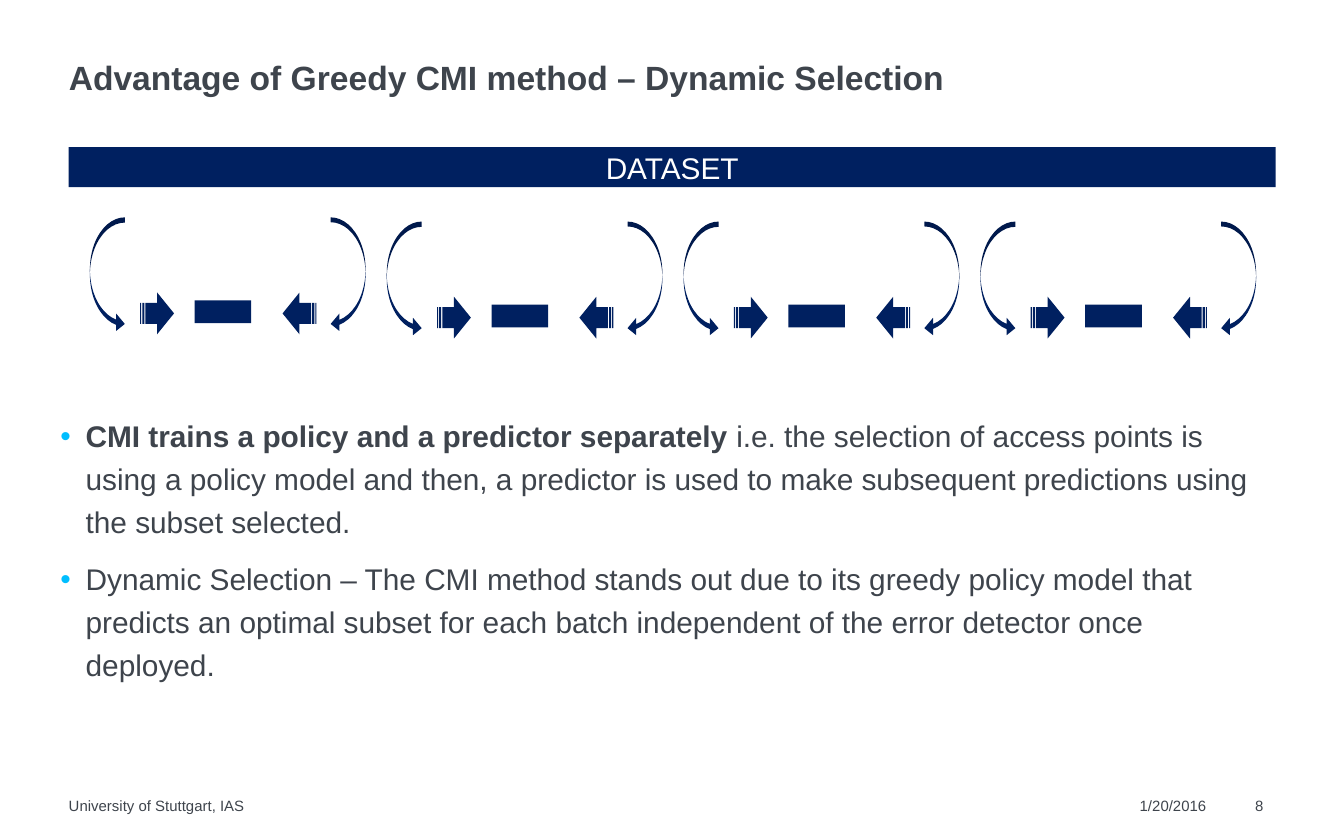
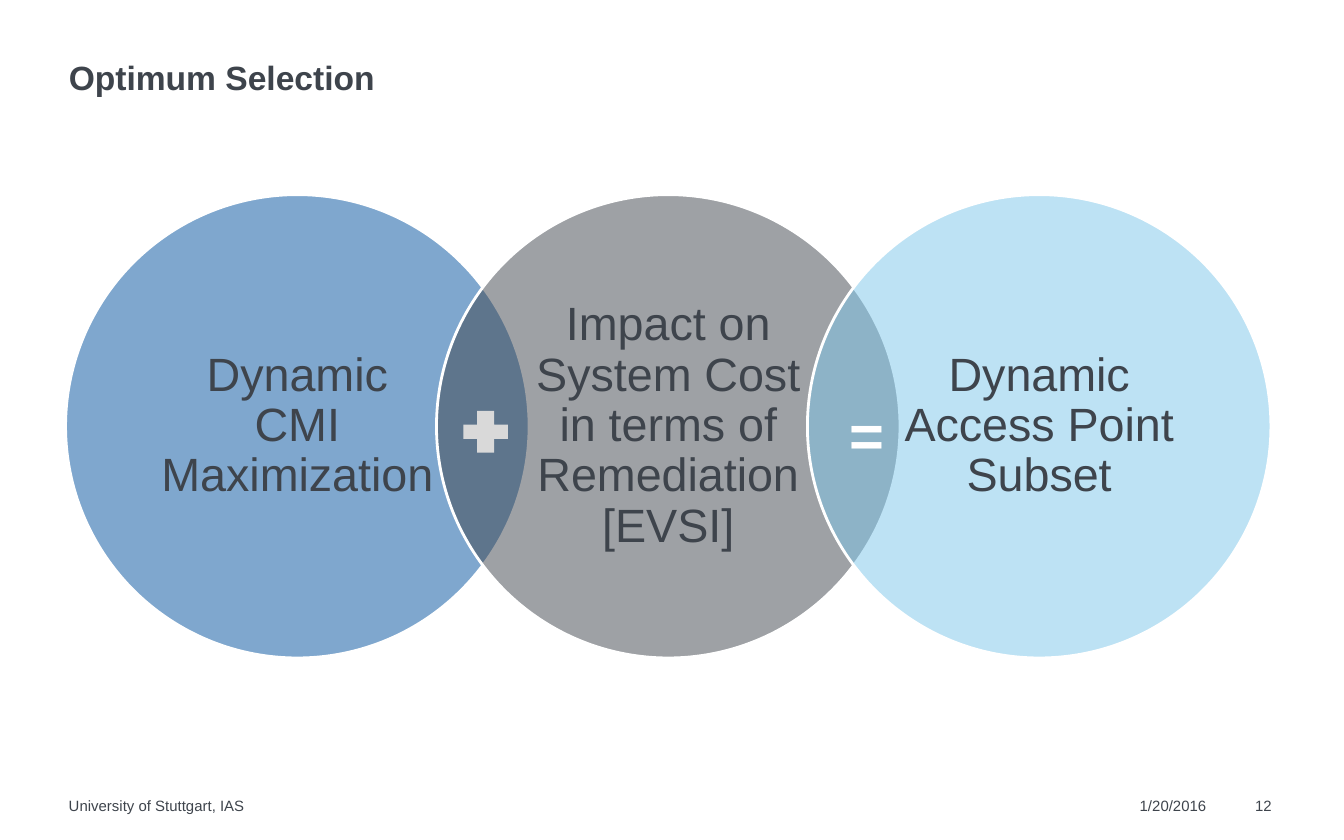
from dataclasses import dataclass

import pptx
import pptx.dml.color
import pptx.enum.shapes
import pptx.enum.text
import pptx.oxml
import pptx.oxml.ns
import pptx.oxml.xmlchemy
import pptx.util
from pptx.dml.color import RGBColor
from pptx.enum.shapes import MSO_SHAPE
from pptx.enum.text import MSO_ANCHOR, PP_ALIGN
from pptx.util import Cm

# Shared style
FONT = "Arial"
INK = RGBColor(0x3E, 0x44, 0x4C)
NAVY = RGBColor(0x00, 0x20, 0x60)
BLUE = RGBColor(0x00, 0x51, 0x9E)
SKY = RGBColor(0x7D, 0xC6, 0xEA)
BULLET = RGBColor(0x00, 0xBE, 0xFF)
SILVER = RGBColor(0xD9, 0xD9, 0xD9)
WHITE = RGBColor(0xFF, 0xFF, 0xFF)
MARGIN = 1.3
CONTENT_WIDTH = 22.81
TITLE_ONLY = 5


@dataclass(frozen=True)
class Box:
    """A frame in centimetres."""
    left: float
    top: float
    width: float
    height: float

    def moved(self, right: float, down: float) -> "Box":
        return Box(self.left + right, self.top + down, self.width, self.height)

    def lengths(self) -> tuple:
        return Cm(self.left), Cm(self.top), Cm(self.width), Cm(self.height)


@dataclass(frozen=True)
class Part:
    """One shape of a batch, placed relative to the batch's corner."""
    kind: MSO_SHAPE
    box: Box
    rotation: float = 0
    adjustments: tuple = ()


@dataclass(frozen=True)
class Circle:
    text: str
    color: RGBColor


TITLE_BOX = Box(MARGIN, 1.09, CONTENT_WIDTH, 0.76)
FOOTER_TEXT = "University of Stuttgart, IAS"
FOOTER_DATE = "1/20/2016"
FOOTER_BOX = Box(MARGIN, 15.06, 16.84, 0.36)
DATE_BOX = Box(21.54, 15.06, 1.47, 0.36)
NUMBER_BOX = Box(23.72, 15.06, 0.61, 0.36)


# Text helpers
def set_font(para, size: float, color: RGBColor = INK, bold: bool = False) -> None:
    font = para.font
    font.name, font.size, font.bold = FONT, pptx.util.Pt(size), bold
    font.color.rgb = color


def set_frame(frame, side: float = 0, end: float = 0, wrap: bool = True,
              anchor: MSO_ANCHOR = MSO_ANCHOR.TOP) -> None:
    frame.margin_left = frame.margin_right = Cm(side)
    frame.margin_top = frame.margin_bottom = Cm(end)
    frame.word_wrap = wrap
    frame.vertical_anchor = anchor


def add_text(page, box: Box, text: str, size: float, color: RGBColor = INK,
             bold: bool = False, wrap: bool = True) -> None:
    frame = page.shapes.add_textbox(*box.lengths()).text_frame
    set_frame(frame, wrap=wrap)
    para = frame.paragraphs[0]
    para.text = text
    set_font(para, size, color, bold)


def add_bullet(para) -> None:
    props = para._p.get_or_add_pPr()
    props.set("marL", str(Cm(0.48)))
    props.set("indent", str(-Cm(0.48)))
    namespace = pptx.oxml.ns.nsdecls("a")
    for markup in (
        f'<a:buClr {namespace}><a:srgbClr val="{BULLET}"/></a:buClr>',
        f'<a:buFont {namespace} typeface="{FONT}"/>',
        f'<a:buChar {namespace} char="•"/>',
    ):
        props.append(pptx.oxml.parse_xml(markup))


# Shape helpers
def add_solid(shapes, kind: MSO_SHAPE, box: Box, color: RGBColor):
    shape = shapes.add_shape(kind, *box.lengths())
    shape.shadow.inherit = False
    shape.fill.solid()
    shape.fill.fore_color.rgb = color
    shape.line.fill.background()
    return shape


def set_opacity(shape, percent: int) -> None:
    color = shape.element.spPr.find(".//" + pptx.oxml.ns.qn("a:srgbClr"))
    color.append(pptx.oxml.parse_xml(
        f'<a:alpha {pptx.oxml.ns.nsdecls("a")} val="{percent * 1000}"/>'))


def add_page(deck, title: str, number: int):
    """Add a slide with the shared title and footer."""
    page = deck.slides.add_slide(deck.slide_layouts[TITLE_ONLY])
    heading = page.shapes.title
    heading.left, heading.top, heading.width, heading.height = TITLE_BOX.lengths()
    set_frame(heading.text_frame, anchor=MSO_ANCHOR.BOTTOM)
    para = heading.text_frame.paragraphs[0]
    para.text = title
    para.alignment = PP_ALIGN.LEFT
    para.line_spacing = 0.9
    set_font(para, 18, bold=True)
    for box, text in ((DATE_BOX, FOOTER_DATE), (FOOTER_BOX, FOOTER_TEXT),
                      (NUMBER_BOX, str(number))):
        add_text(page, box, text, 8)
    return page


# Dynamic selection slide
BATCH_LEFT, BATCH_PITCH = 1.7, 5.61
BATCH_TOPS = (4.11, 4.19, 4.19, 4.19)
BATCH_PARTS = (
    Part(MSO_SHAPE.CURVED_RIGHT_ARROW, Box(0, 0, 0.66, 2.18), 0, (0.15, 0.5, 0.25)),
    Part(MSO_SHAPE.CURVED_LEFT_ARROW, Box(4.55, 0, 0.66, 2.18), 0, (0.14, 0.5, 0.25)),
    Part(MSO_SHAPE.STRIPED_RIGHT_ARROW, Box(0.95, 1.42, 0.64, 0.79)),
    Part(MSO_SHAPE.STRIPED_RIGHT_ARROW, Box(3.64, 1.42, 0.64, 0.79), 180),
    Part(MSO_SHAPE.RECTANGLE, Box(1.98, 1.57, 1.07, 0.43)),
)
ADVANTAGES = (
    ("CMI trains a policy and a predictor separately ",
     "i.e. the selection of access points is using a policy model and then, a predictor "
     "is used to make subsequent predictions using the subset selected."),
    ("",
     "Dynamic Selection – The CMI method stands out due to its greedy policy model that "
     "predicts an optimal subset for each batch independent of the error detector once "
     "deployed."),
)


def add_batch(page, left: float, top: float) -> None:
    group = page.shapes.add_group_shape()
    for part in BATCH_PARTS:
        shape = add_solid(group.shapes, part.kind, part.box.moved(left, top), NAVY)
        shape.rotation = part.rotation
        for index, value in enumerate(part.adjustments):
            shape.adjustments[index] = value


def build_dynamic_selection(deck) -> None:
    page = add_page(deck, "Advantage of Greedy CMI method – Dynamic Selection", 8)
    for index, top in enumerate(BATCH_TOPS):
        add_batch(page, BATCH_LEFT + index * BATCH_PITCH, top)

    dataset = add_solid(page.shapes, MSO_SHAPE.RECTANGLE,
                        Box(MARGIN, 2.78, CONTENT_WIDTH, 0.76), NAVY)
    set_frame(dataset.text_frame, anchor=MSO_ANCHOR.MIDDLE)
    para = dataset.text_frame.paragraphs[0]
    para.text = "DATASET"
    para.alignment = PP_ALIGN.CENTER
    set_font(para, 16, WHITE)

    # Bulleted advantages
    body = page.shapes.add_textbox(*Box(1.14, 7.77, CONTENT_WIDTH, 6.9).lengths())
    frame = body.text_frame
    set_frame(frame)
    for index, (lead, rest) in enumerate(ADVANTAGES):
        para = frame.add_paragraph() if index else frame.paragraphs[0]
        add_bullet(para)
        para.line_spacing = 1.2
        para.space_before = pptx.util.Pt(7.5)
        set_font(para, 16)
        if lead:
            span = para.add_run()
            span.text = lead
            span.font.bold = True
        para.add_run().text = rest


# Optimum selection slide
CIRCLE_BOX = Box(1.24, 3.68, 8.76, 8.76)
CIRCLE_PITCH = 7.01
CIRCLES = (
    Circle("Dynamic CMI Maximization", BLUE),
    Circle("Impact on System Cost in terms of Remediation\v[EVSI]", INK),
    Circle("Dynamic Access Point Subset", SKY),
)


def add_circle(page, circle: Circle, box: Box) -> None:
    shape = add_solid(page.shapes, MSO_SHAPE.OVAL, box, circle.color)
    set_opacity(shape, 50)
    shape.line.color.rgb = WHITE
    shape.line.width = pptx.util.Pt(1.5)
    set_frame(shape.text_frame, side=0.48, end=0.08, anchor=MSO_ANCHOR.MIDDLE)
    para = shape.text_frame.paragraphs[0]
    para.text = circle.text
    para.alignment = PP_ALIGN.CENTER
    para.line_spacing = 0.9
    set_font(para, 25)


def build_optimum_selection(deck) -> None:
    page = add_page(deck, "Optimum Selection", 12)
    for index, circle in enumerate(CIRCLES):
        add_circle(page, circle, CIRCLE_BOX.moved(index * CIRCLE_PITCH, 0))

    # Signs between the circles
    plus = add_solid(page.shapes, MSO_SHAPE.CROSS, Box(8.76, 7.77, 0.84, 0.79), SILVER)
    plus.adjustments[0] = 0.33
    add_text(page, Box(16.05, 7.52, 0.61, 1.04), "=", 32, WHITE, bold=True, wrap=False)


def main() -> None:
    deck = pptx.Presentation()
    deck.slide_width, deck.slide_height = Cm(25.4), Cm(15.88)
    build_dynamic_selection(deck)
    build_optimum_selection(deck)
    deck.save("out.pptx")


if __name__ == "__main__":
    main()
